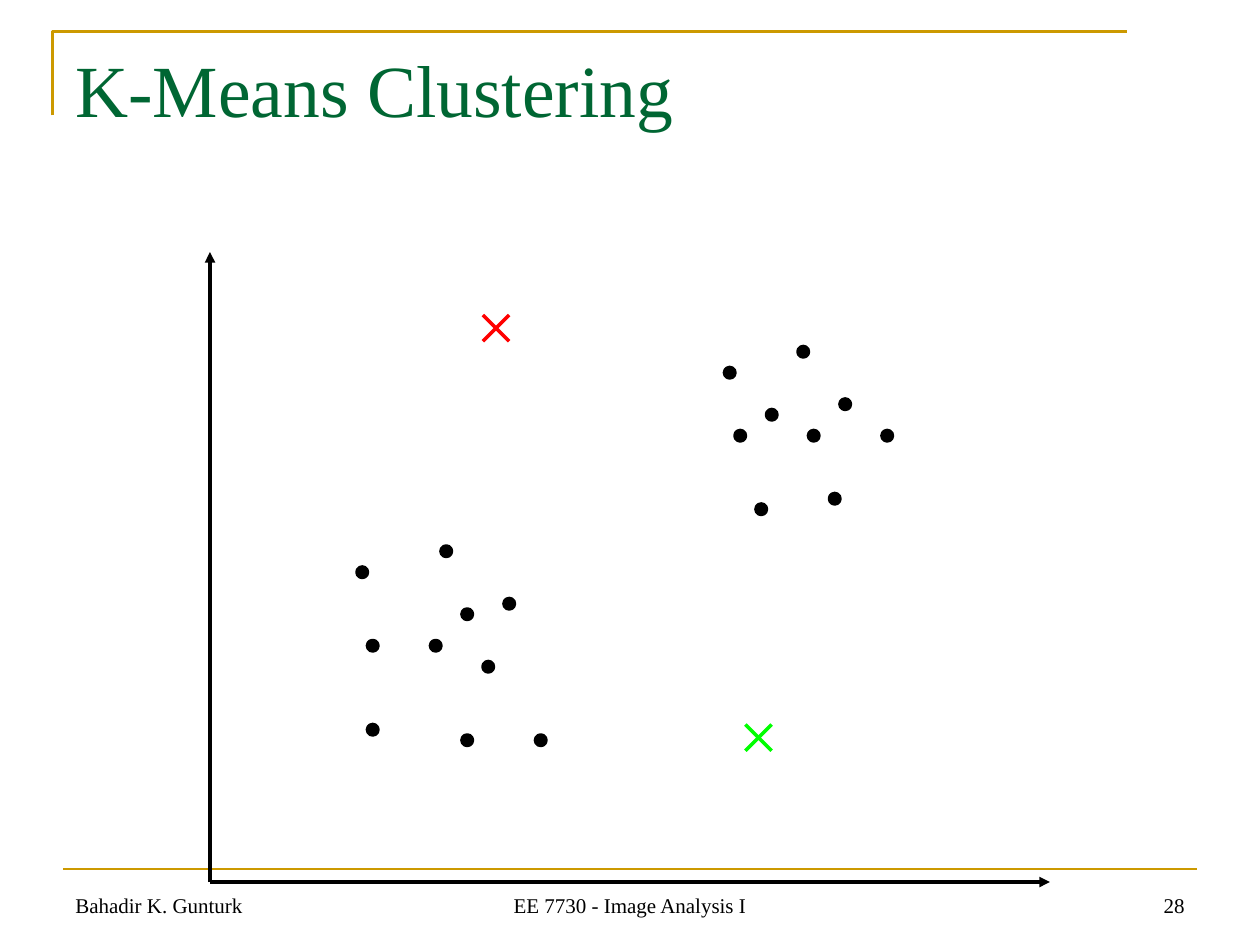
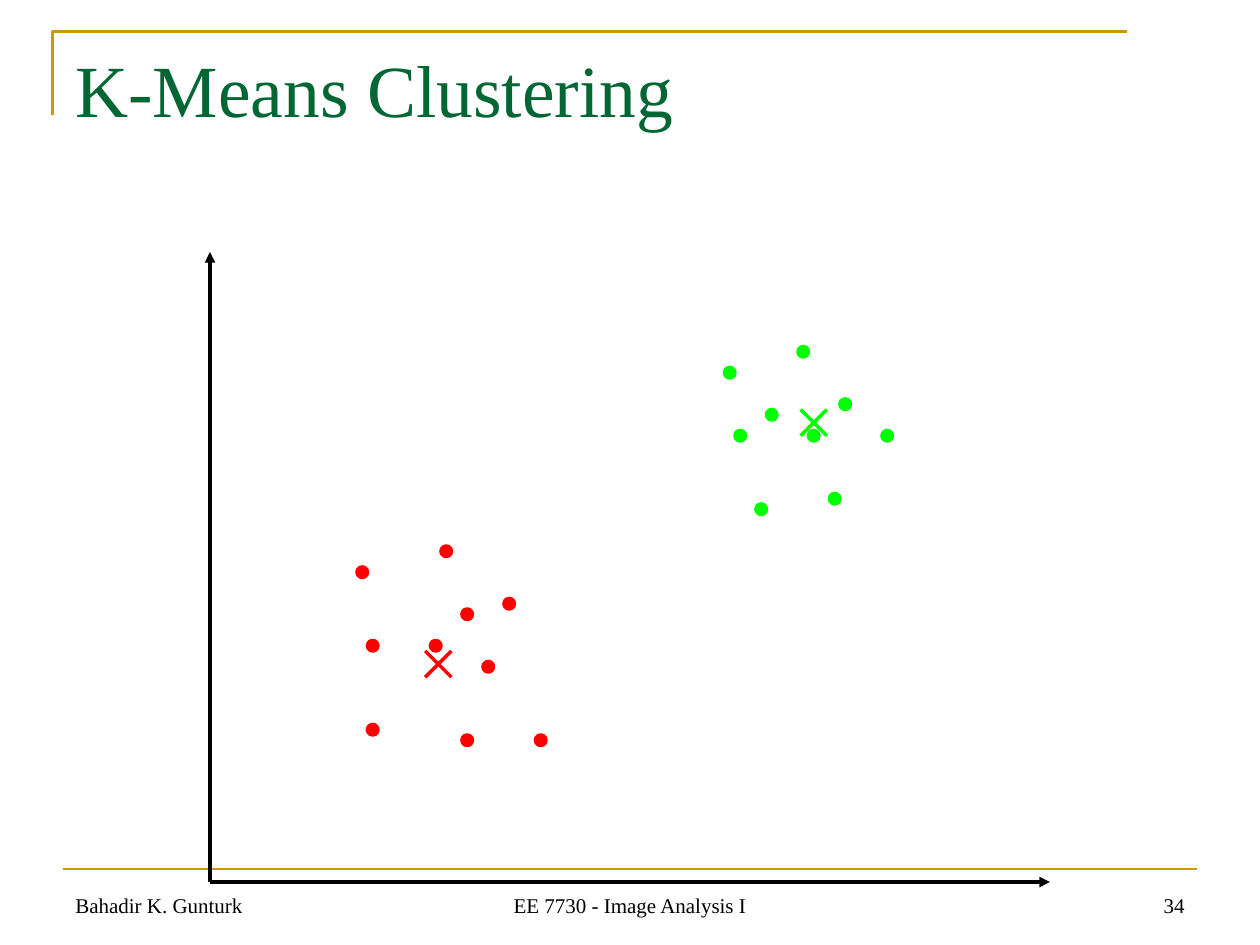
from dataclasses import dataclass

from lxml import etree
from pptx import Presentation
from pptx import util as u
from pptx.dml.color import RGBColor
from pptx.enum import shapes, text
from pptx.oxml import ns

PX = 9525  # EMU per px, 96 px to the inch
GRID = 8  # px between neighbouring grid positions of the data points


@dataclass(frozen=True)
class Theme:
    font: str = "Times New Roman"
    title: str = "006633"
    accent: str = "CC9900"
    ink: str = "000000"
    red: str = "FF0000"
    green: str = "00FF00"
    title_size: int = 42
    footer_size: int = 12
    frame_width: float = 1.5
    plot_width: int = 2


THEME = Theme()
TITLE = "K-Means Clustering"
AUTHOR = "Bahadir K. Gunturk"
COURSE = "EE 7730 - Image Analysis I"

# Top left corners of the data points, in grid steps
UPPER_CLUSTER = [(69, 35), (70, 41), (73, 39), (76, 33), (80, 38),
                 (77, 41), (72, 48), (79, 47), (84, 41)]
LOWER_CLUSTER = [(42, 52), (48, 57), (46, 63), (44, 58), (34, 54),
                 (35, 61), (41, 61), (44, 70), (35, 69), (51, 70)]


def px(*lengths):
    return [u.Emu(length * PX) for length in lengths]


def style_line(shape, color, width):
    shape.line.color.rgb = RGBColor.from_string(color)
    shape.line.width = u.Pt(width)


def add_line(container, start, end, color, width, arrow=False):
    line = container.add_connector(shapes.MSO_CONNECTOR.STRAIGHT, *px(*start, *end))
    style_line(line, color, width)
    if arrow:
        etree.SubElement(line.line._get_or_add_ln(), ns.qn("a:tailEnd"), type="triangle")
    etree.SubElement(line._element.spPr, ns.qn("a:effectLst"))


def add_text(slide, box, content, size, color,
             align=text.PP_ALIGN.LEFT, anchor=text.MSO_ANCHOR.TOP):
    frame = slide.shapes.add_textbox(*px(*box)).text_frame
    frame.word_wrap = True
    frame.vertical_anchor = anchor
    paragraph = frame.paragraphs[0]
    paragraph.alignment = align
    run = paragraph.add_run()
    run.text = content
    run.font.name = THEME.font
    run.font.size = u.Pt(size)
    run.font.color.rgb = RGBColor.from_string(color)


def add_frame(slide):
    """Draw the corner line around the title and the rule above the footer."""
    builder = slide.shapes.build_freeform(40, 88, scale=PX)
    builder.add_line_segments([(40, 24), (859, 24)], close=False)
    corner = builder.convert_to_shape()
    corner.shadow.inherit = False
    corner.fill.background()
    style_line(corner, THEME.accent, THEME.frame_width)
    add_line(slide.shapes, (48, 662), (912, 662), THEME.accent, THEME.frame_width)


def add_footer(slide, number):
    footers = [
        (328, 304, COURSE, text.PP_ALIGN.CENTER),
        (688, 224, str(number), text.PP_ALIGN.RIGHT),
        (48, 224, AUTHOR, text.PP_ALIGN.LEFT),
    ]
    for left, width, content, align in footers:
        add_text(slide, (left, 656, width, 48), content, THEME.footer_size,
                 THEME.ink, align, text.MSO_ANCHOR.BOTTOM)


def add_axes(slide):
    group = slide.shapes.add_group_shape()
    for end in [(800, 672), (160, 192)]:
        add_line(group.shapes, (160, 672), end, THEME.ink, THEME.plot_width, arrow=True)


def add_cluster(slide, points, color):
    for column, row in points:
        dot = slide.shapes.add_shape(shapes.MSO_SHAPE.OVAL,
                                     *px(column * GRID, row * GRID, GRID, GRID))
        dot.shadow.inherit = False
        dot.fill.solid()
        dot.fill.fore_color.rgb = RGBColor.from_string(color)
        style_line(dot, color, THEME.plot_width)


def add_center(slide, left, top, color, size=20):
    """Mark a cluster center with a cross."""
    right, bottom = left + size, top + size
    group = slide.shapes.add_group_shape()
    add_line(group.shapes, (left, top), (right, bottom), color, THEME.plot_width)
    add_line(group.shapes, (left, bottom), (right, top), color, THEME.plot_width)


def add_clustering_slide(presentation, number, upper_color, lower_color,
                         red_center, green_center):
    slide = presentation.slides.add_slide(presentation.slide_layouts[6])
    add_frame(slide)
    add_axes(slide)
    add_cluster(slide, UPPER_CLUSTER, upper_color)
    add_cluster(slide, LOWER_CLUSTER, lower_color)
    add_center(slide, *red_center, THEME.red)
    add_center(slide, *green_center, THEME.green)
    add_text(slide, (48, 29, 864, 120), TITLE, THEME.title_size, THEME.title)
    add_footer(slide, number)


def main():
    presentation = Presentation()
    presentation.slide_width, presentation.slide_height = px(960, 720)
    add_clustering_slide(presentation, 28, THEME.ink, THEME.ink,
                         red_center=(368, 240), green_center=(568, 552))
    add_clustering_slide(presentation, 34, THEME.green, THEME.red,
                         red_center=(324, 496), green_center=(610, 312))
    presentation.save("out.pptx")


if __name__ == "__main__":
    main()
